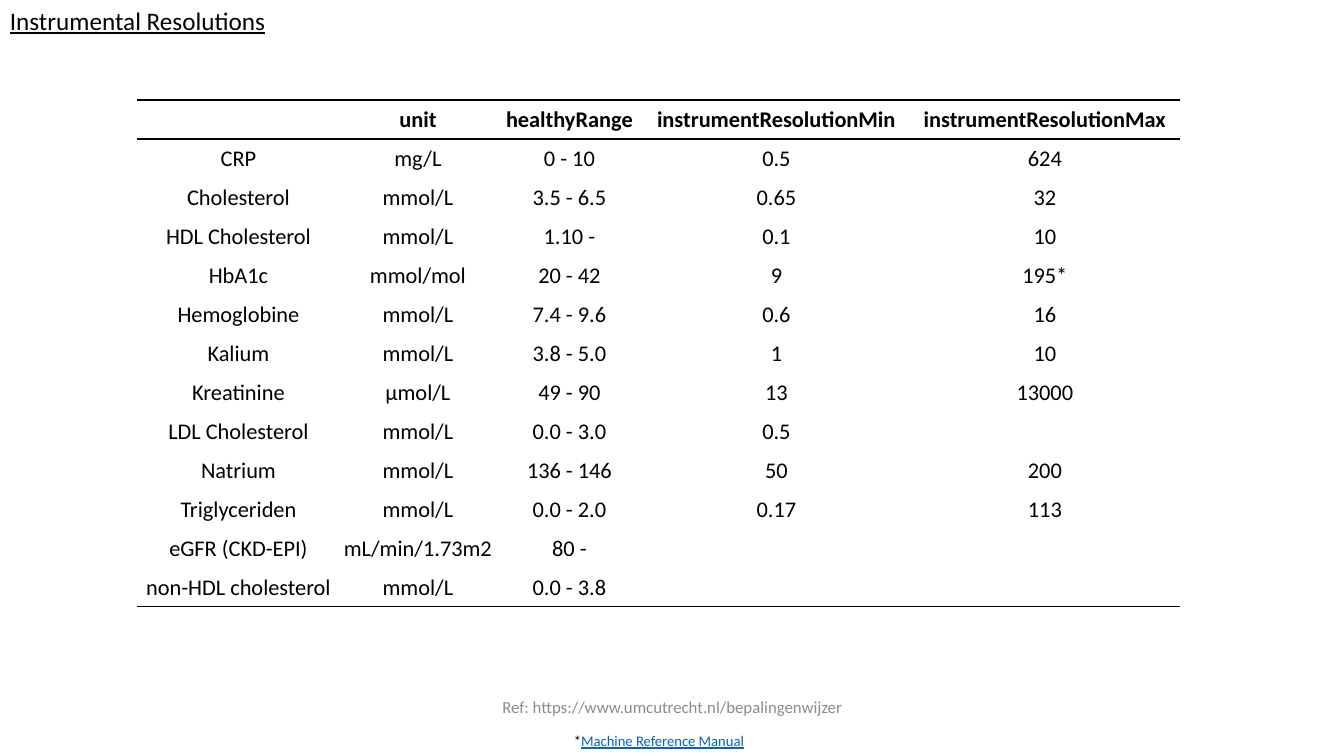
from lxml import etree
from pptx import Presentation
from pptx.dml.color import RGBColor
from pptx.enum.text import MSO_ANCHOR, MSO_AUTO_SIZE, PP_ALIGN
from pptx.oxml.ns import qn
from pptx.util import Pt

LEFT, CENTER = PP_ALIGN.LEFT, PP_ALIGN.CENTER
TOP, MIDDLE = MSO_ANCHOR.TOP, MSO_ANCHOR.MIDDLE
GROW, FIXED = MSO_AUTO_SIZE.SHAPE_TO_FIT_TEXT, MSO_AUTO_SIZE.NONE
BLACK = RGBColor(0x00, 0x00, 0x00)
GRAY = RGBColor(0x8C, 0x8C, 0x8C)
LINK_BLUE = RGBColor(0x05, 0x63, 0xC1)
PLAIN_TABLE = "{2D5ABB26-0587-4C30-8999-92F81FD0307C}"


def px(length):
    return round(length * 914400 / 100.8)


def format_run(run, size, color, bold=False, underline=False):
    run.font.name = "Calibri"
    run.font.size = Pt(size)
    run.font.color.rgb = color
    run.font.bold = bold
    run.font.underline = underline


prs = Presentation()
prs.slide_width, prs.slide_height = px(1344), px(756)
slide = prs.slides.add_slide(prs.slide_layouts[6])

ROWS = [
    ("", "unit", "healthyRange", "instrumentResolutionMin", "instrumentResolutionMax"),
    ("CRP", "mg/L", "0 - 10", "0.5", "624"),
    ("Cholesterol", "mmol/L", "3.5 - 6.5", "0.65", "32"),
    ("HDL Cholesterol", "mmol/L", "1.10 -", "0.1", "10"),
    ("HbA1c", "mmol/mol", "20 - 42", "9", "195*"),
    ("Hemoglobine", "mmol/L", "7.4 - 9.6", "0.6", "16"),
    ("Kalium", "mmol/L", "3.8 - 5.0", "1", "10"),
    ("Kreatinine", "µmol/L", "49 - 90", "13", "13000"),
    ("LDL Cholesterol", "mmol/L", "0.0 - 3.0", "0.5", ""),
    ("Natrium", "mmol/L", "136 - 146", "50", "200"),
    ("Triglyceriden", "mmol/L", "0.0 - 2.0", "0.17", "113"),
    ("eGFR (CKD-EPI)", "mL/min/1.73m2", "80 -", "", ""),
    ("non-HDL cholesterol", "mmol/L", "0.0 - 3.8", "", ""),
]
COLUMN_WIDTHS = [203, 156, 147, 267, 270]
ROW_HEIGHT = 39
RULES = {0: ("a:lnT", "a:lnB"), len(ROWS) - 1: ("a:lnB",)}

resolutions = slide.shapes.add_table(
    len(ROWS), len(COLUMN_WIDTHS), px(137), px(100),
    px(sum(COLUMN_WIDTHS)), px(ROW_HEIGHT * len(ROWS))).table
resolutions.horz_banding = False
resolutions._tbl.tblPr.find(qn("a:tableStyleId")).text = PLAIN_TABLE
for column, width in zip(resolutions.columns, COLUMN_WIDTHS):
    column.width = px(width)

for r, values in enumerate(ROWS):
    resolutions.rows[r].height = px(ROW_HEIGHT)
    for c, value in enumerate(values):
        cell = resolutions.cell(r, c)
        cell.margin_left = cell.margin_right = cell.margin_top = px(1)
        cell.margin_bottom = 0
        cell.vertical_anchor = MIDDLE
        cell.text_frame.text = value
        paragraph = cell.text_frame.paragraphs[0]
        paragraph.alignment = CENTER
        for run in paragraph.runs:
            format_run(run, 16, BLACK, bold=r == 0)
        for side in RULES.get(r, ()):
            rule = etree.SubElement(cell._tc.get_or_add_tcPr(), qn(side), w=str(Pt(1)))
            solid = etree.SubElement(rule, qn("a:solidFill"))
            etree.SubElement(solid, qn("a:srgbClr"), val=str(BLACK))
        cell.fill.background()

CAPTIONS = [
    ((0, 0, 519, 40), LEFT, TOP, GROW, 18,
     [("Instrumental Resolutions", BLACK, True)]),
    ((446, 687, 453, 40), CENTER, MIDDLE, FIXED, 12,
     [("Ref: https://www.umcutrecht.nl/bepalingenwijzer", GRAY, False)]),
    ((560, 727, 198, 29), CENTER, TOP, GROW, 10.5,
     [("*", BLACK, False), ("Machine Reference Manual", LINK_BLUE, True)]),
]
for place, alignment, anchor, autosize, size, pieces in CAPTIONS:
    frame = slide.shapes.add_textbox(*map(px, place)).text_frame
    frame.word_wrap = True
    frame.auto_size = autosize
    frame.vertical_anchor = anchor
    paragraph = frame.paragraphs[0]
    paragraph.alignment = alignment
    for words, color, underline in pieces:
        run = paragraph.add_run()
        run.text = words
        format_run(run, size, color, underline=underline)

prs.save("out.pptx")
